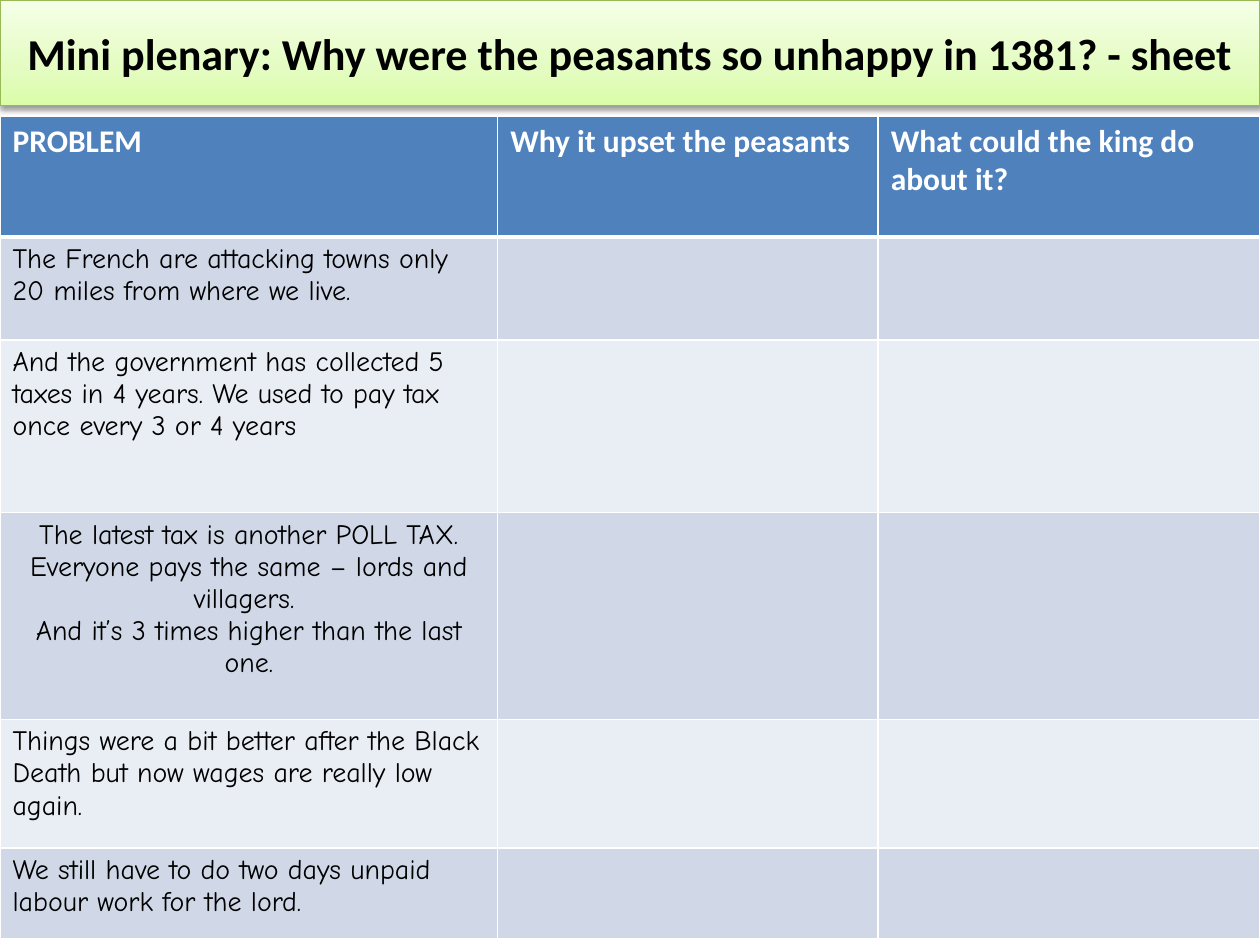
from dataclasses import dataclass

from pptx import Presentation
from pptx.dml.color import RGBColor
from pptx.enum.text import MSO_ANCHOR, MSO_AUTO_SIZE, PP_ALIGN
from pptx.oxml import parse_xml
from pptx.oxml.ns import nsdecls, qn
from pptx.util import Inches, Pt


@dataclass(frozen=True)
class Theme:
    """Colours, fonts and type sizes of the worksheet."""

    title_stops: tuple = ((0, "DAFDA7"), (35, "E4FCC2"), (100, "F5FFE7"))
    title_line: str = "98B955"
    header_fill: str = "4F81BD"
    band_fills: tuple = ("D0D8E8", "E9EDF4")
    black: str = "000000"
    white: str = "FFFFFF"
    heading_font: str = "Calibri"
    body_font: str = "Comic Neue"
    title_size: float = 25.2
    header_size: float = 18
    body_size: float = 16


THEME = Theme()
TITLE = "Mini plenary: Why were the peasants so unhappy in 1381? - sheet"
HEADERS = ("PROBLEM", "Why it upset the peasants", "What could the king do about it?")
PROBLEMS = (
    ("The French are attacking towns only 20 miles from where we live.",),
    ("And the government has collected 5 taxes in 4 years. "
     "We used to pay tax once every 3 or 4 years",),
    ("The latest tax is another POLL TAX. Everyone pays the same – lords and villagers. ",
     "And it’s 3 times higher than the last one."),
    ("Things were a bit better after the Black Death but now wages are really low again.",),
    ("We still have to do two days unpaid labour work for the lord.",),
)
COLUMN_WIDTHS = (3.95, 3.02, 3.03)
ROW_HEIGHTS = (0.96, 0.82, 1.37, 1.64, 1.02, 0.72)


def write_text(frame, lines, *, font, size, color, bold=False, align=PP_ALIGN.LEFT):
    """Write one formatted paragraph for each line."""
    for index, line in enumerate(lines):
        para = frame.paragraphs[0] if index == 0 else frame.add_paragraph()
        para.alignment = align
        span = para.add_run()
        span.text = line
        span.font.name = font
        span.font.size = Pt(size)
        span.font.bold = bold
        span.font.color.rgb = RGBColor.from_string(color)


def set_gradient(box, stops, angle):
    """Fill a box with a linear gradient of any number of stops."""
    box.fill.gradient()
    box.fill.gradient_angle = angle
    stop_list = box._element.spPr.find(".//" + qn("a:gsLst"))
    for stop in list(stop_list):
        stop_list.remove(stop)
    for position, color in stops:
        stop_list.append(parse_xml(
            f'<a:gs {nsdecls("a")} pos="{position * 1000}"><a:srgbClr val="{color}"/></a:gs>'))


def add_shadow(box, color):
    """Give a box a soft shadow below it."""
    box._element.spPr.append(parse_xml(
        f'<a:effectLst {nsdecls("a")}><a:outerShdw blurRad="{Pt(3.1)}" dist="{Pt(1.6)}" '
        f'dir="5400000" rotWithShape="0"><a:srgbClr val="{color}"><a:alpha val="38000"/>'
        '</a:srgbClr></a:outerShdw></a:effectLst>'))


def place_title(page, left, top, width, height):
    """Place the title banner in the given box."""
    box = page.shapes.title
    box.left, box.top, box.width, box.height = map(Inches, (left, top, width, height))
    set_gradient(box, THEME.title_stops, 90)
    box.line.color.rgb = RGBColor.from_string(THEME.title_line)
    box.line.width = Pt(0.75)
    add_shadow(box, THEME.black)
    frame = box.text_frame
    frame.word_wrap = True
    frame.auto_size = MSO_AUTO_SIZE.NONE
    frame.vertical_anchor = MSO_ANCHOR.MIDDLE
    write_text(frame, [TITLE], font=THEME.heading_font, size=THEME.title_size,
               color=THEME.black, bold=True, align=PP_ALIGN.CENTER)


def style_cell(cell, fill, top_width, bottom_width):
    """Give a cell white borders and a solid fill."""
    properties = cell._tc.get_or_add_tcPr()
    for side, width in (("L", 1), ("R", 1), ("T", top_width), ("B", bottom_width)):
        properties.append(parse_xml(
            f'<a:ln{side} {nsdecls("a")} w="{Pt(width)}"><a:solidFill>'
            f'<a:srgbClr val="{THEME.white}"/></a:solidFill></a:ln{side}>'))
    cell.fill.solid()
    cell.fill.fore_color.rgb = RGBColor.from_string(fill)


def place_table(page, left, top, width, height):
    """Place the table of problems in the given box."""
    table = page.shapes.add_table(
        len(ROW_HEIGHTS), len(COLUMN_WIDTHS), *map(Inches, (left, top, width, height))).table
    for column, share in zip(table.columns, COLUMN_WIDTHS):
        column.width = Inches(width * share / sum(COLUMN_WIDTHS))
    for row_index, (row, share) in enumerate(zip(table.rows, ROW_HEIGHTS)):
        row.height = Inches(height * share / sum(ROW_HEIGHTS))
        fill = THEME.band_fills[(row_index - 1) % 2] if row_index else THEME.header_fill
        for cell in row.cells:
            style_cell(cell, fill, 3 if row_index == 1 else 1, 1 if row_index else 3)
    for column_index, header in enumerate(HEADERS):
        write_text(table.cell(0, column_index).text_frame, [header], font=THEME.heading_font,
                   size=THEME.header_size, color=THEME.white, bold=True)
    for row_index, lines in enumerate(PROBLEMS, start=1):
        write_text(table.cell(row_index, 0).text_frame, lines, font=THEME.body_font,
                   size=THEME.body_size, color=THEME.black,
                   align=PP_ALIGN.CENTER if len(lines) > 1 else PP_ALIGN.LEFT)


def main():
    """Build the worksheet slide and save it."""
    deck = Presentation()
    deck.slide_width, deck.slide_height = Inches(10), Inches(7.5)
    page = deck.slides.add_slide(deck.slide_layouts.get_by_name("Title Only"))
    place_title(page, 0, 0, 10, 0.84)
    place_table(page, 0, 0.92, 10, sum(ROW_HEIGHTS))
    deck.save("out.pptx")


if __name__ == "__main__":
    main()
